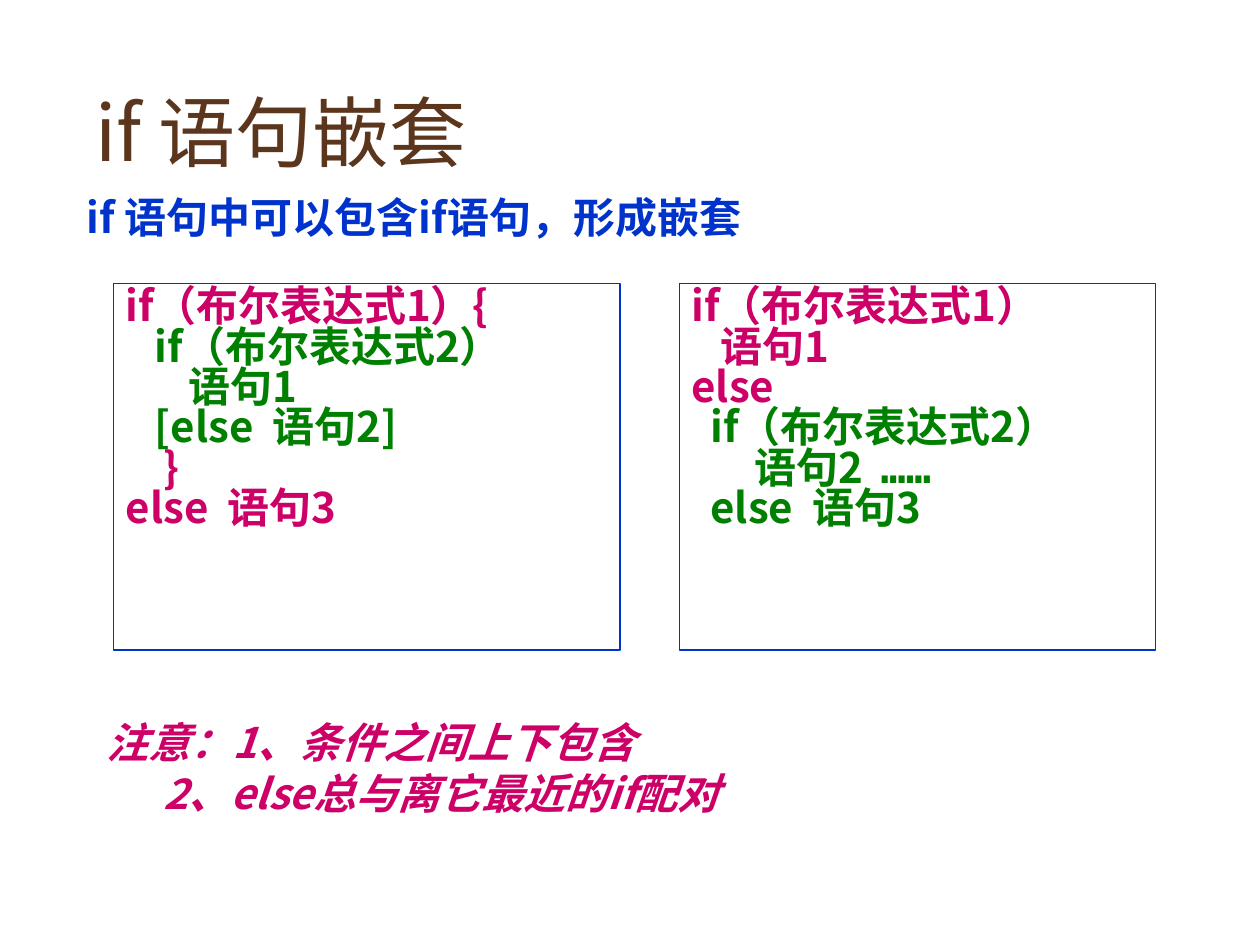
from dataclasses import dataclass

from lxml import etree
from pptx import Presentation
from pptx.dml.color import RGBColor
from pptx.enum.shapes import MSO_SHAPE
from pptx.enum.text import MSO_ANCHOR, PP_ALIGN
from pptx.oxml.ns import qn
from pptx.util import Inches, Pt

RECT = MSO_SHAPE.RECTANGLE
TOP, MIDDLE = MSO_ANCHOR.TOP, MSO_ANCHOR.MIDDLE
LEFT = PP_ALIGN.LEFT


@dataclass(frozen=True)
class Theme:
    font: str = "Noto Sans CJK SC"
    mono: str = "DejaVu Sans Mono"
    brown: str = "5B361D"
    blue: str = "0033CC"
    pink: str = "CC0066"
    green: str = "008000"
    head: int = 44
    body: int = 24
    rule: float = 0.75


class Deck:
    """Draws text and code boxes on one slide in a shared style."""

    def __init__(self, slide, theme):
        self.slide = slide
        self.theme = theme

    def run(self, para, text, color, size, face=None, **form):
        run = para.add_run()
        run.text = text
        values = {"name": face or self.theme.font, "size": Pt(size), **form}
        for key, value in values.items():
            setattr(run.font, key, value)
        run.font.color.rgb = RGBColor.from_string(color)
        east = etree.SubElement(run.font._element, qn("a:ea"))
        east.set("typeface", values["name"])

    def line(self, para, indent=0, stops=(), space=1.0):
        values = {"alignment": LEFT, "line_spacing": space, "space_before": Pt(0)}
        for key, value in values.items():
            setattr(para, key, value)
        props = para._p.get_or_add_pPr()
        props.set("marL", str(Inches(indent)))
        props.set("indent", "0")
        if stops:
            tabs = etree.SubElement(props, qn("a:tabLst"))
            for stop in stops:
                etree.SubElement(tabs, qn("a:tab"), pos=str(Inches(stop)), algn="l")

    def frame(self, shape, anchor=TOP):
        frame = shape.text_frame
        for key, value in {"word_wrap": True, "vertical_anchor": anchor}.items():
            setattr(frame, key, value)
        return frame

    def text(self, place, lines, color, size, anchor=TOP, **form):
        box = self.slide.shapes.add_textbox(*map(Inches, place))
        frame = self.frame(box, anchor)
        for n, (indent, words) in enumerate(lines):
            para = frame.add_paragraph() if n else frame.paragraphs[0]
            self.line(para, indent)
            self.run(para, words, color, size, **form)

    def code(self, place, lines):
        box = self.slide.shapes.add_shape(RECT, *map(Inches, place))
        box.shadow.inherit = False
        box.fill.background()
        box.line.color.rgb = RGBColor.from_string(self.theme.blue)
        box.line.width = Pt(self.theme.rule)
        frame = self.frame(box)
        for n, (indent, color, words, *tail) in enumerate(lines):
            para = frame.add_paragraph() if n else frame.paragraphs[0]
            self.line(para, indent, (1, 2.25) if "\t" in words else (), 0.8)
            self.run(para, words, color, self.theme.body, bold=True)
            for more in tail:
                self.run(para, more, color, self.theme.body, self.theme.mono, bold=True)


def main():
    show = Presentation()
    show.slide_width, show.slide_height = Inches(10), Inches(7.5)
    theme = Theme()
    pink, green = theme.pink, theme.green
    deck = Deck(show.slides.add_slide(show.slide_layouts[6]), theme)

    deck.text((0.66, 0.6, 9.34, 0.87), [(0, "if 语句嵌套")],
              theme.brown, theme.head, MIDDLE)
    deck.text((0.59, 1.47, 8.82, 0.5), [(0, "if 语句中可以包含if语句，形成嵌套")],
              theme.blue, theme.body, bold=True)

    top, high = 2.25, 2.91
    deck.code((0.9, top, 4.02, high), [
        (0, pink, "if（布尔表达式1）{"),
        (0.23, green, "if（布尔表达式2）"),
        (0, green, "\t语句1"),
        (0.23, green, "[else  语句2]"),
        (0.3, pink, "}"),
        (0, pink, "else  语句3"),
    ])
    deck.code((5.39, top, 3.78, high), [
        (0, pink, "if（布尔表达式1）"),
        (0.23, pink, "语句1"),
        (0, pink, "else"),
        (0.15, green, "if（布尔表达式2）"),
        (0, green, "\t语句2\t", "……"),
        (0.15, green, "else  语句3"),
    ])

    notes = [(0, "注意：1、条件之间上下包含"), (0.45, "2、else总与离它最近的if配对")]
    deck.text((0.75, 5.64, 8.19, 1.62), notes, pink, theme.body,
              bold=True, italic=True)
    show.save("out.pptx")


if __name__ == "__main__":
    main()
